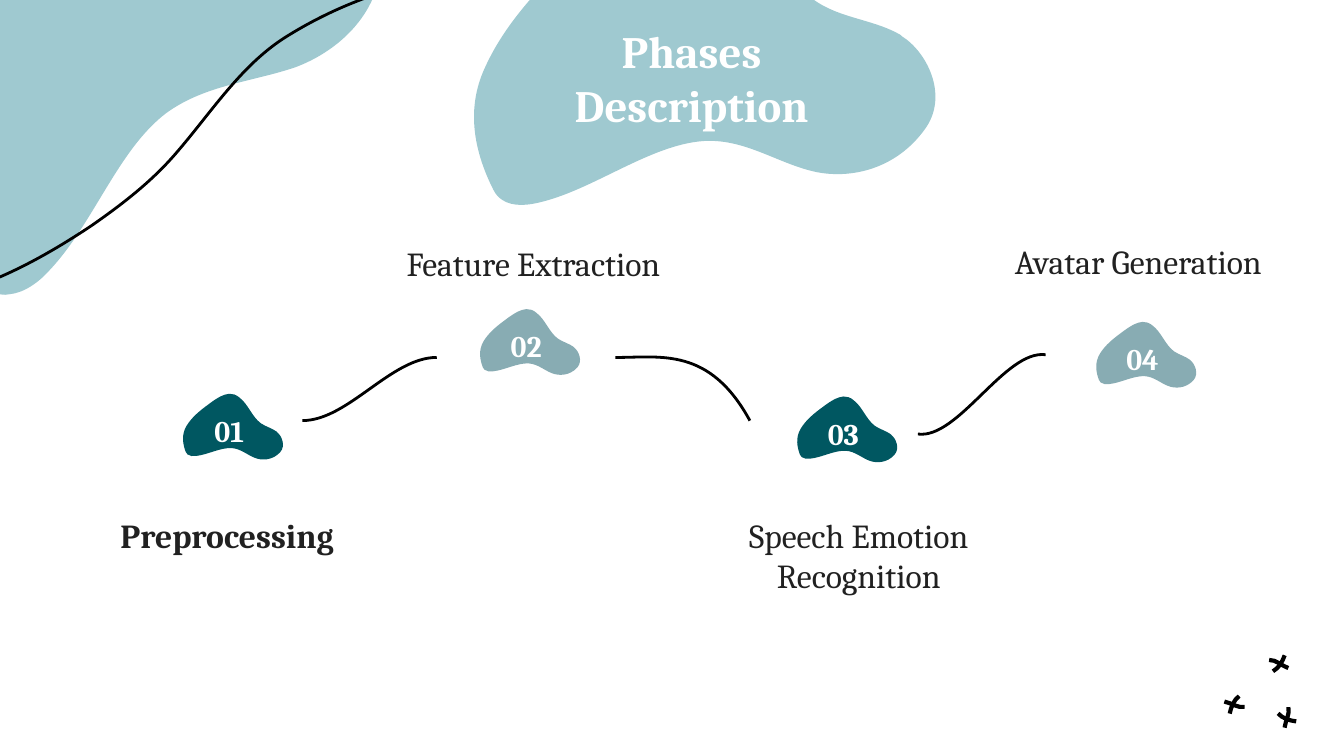
import dataclasses
import math

import pptx
import pptx.dml.color
import pptx.enum.text
import pptx.oxml
import pptx.oxml.ns
import pptx.util

# Every length is counted in cells of a 1000 x 562.5 grid, 100 cells to the inch.
COLS, ROWS = 1000, 562.5
CELL = 9144


@dataclasses.dataclass(frozen=True)
class Theme:
    font: str = "Cambria"
    sky: str = "9FC9D0"
    teal: str = "005761"
    mist: str = "88ACB3"
    ink: str = "212121"
    stroke: str = "000000"
    white: str = "FFFFFF"
    heading: int = 24
    label: int = 18
    number: int = 16
    thin: float = 1.5
    thick: float = 2.25


THEME = Theme()

# Outlines: a start point, then two control points and an end point per curve.
CORNER_BLOB = [
    (3, -75), (-5, -74), (-13, -72), (-21, -69), (-27, -66), (-34, -63), (-39, -58),
    (-47, -50), (-53, -39), (-58, -28), (-65, -11), (-69, 8), (-73, 27),
    (-80, 65), (-87, 105), (-78, 144), (-70, 183), (-36, 205), (-6, 217),
    (-2, 219), (3, 220), (7, 219), (18, 218), (29, 210), (37, 201),
    (70, 166), (88, 111), (124, 84), (153, 63), (188, 61), (220, 50),
    (252, 38), (285, 9), (284, -35), (283, -67), (243, -83), (218, -81),
    (217, -80), (216, -80), (215, -80), (191, -77), (168, -65), (144, -62),
    (143, -62), (142, -62), (141, -62), (96, -56), (48, -80), (3, -75),
]
CORNER_CURVE = [
    (-115, 249), (-95, 231), (-66, 227), (-40, 220), (-1, 210), (35, 190), (68, 168),
    (91, 152), (113, 135), (131, 114), (157, 84), (179, 49), (212, 28),
    (261, -3), (322, -22), (380, -19),
]
TITLE_BLOB = [
    (531, -74), (526, -78), (520, -80), (513, -82), (507, -83), (501, -83), (495, -82),
    (486, -80), (476, -75), (467, -69), (453, -59), (440, -47), (428, -35),
    (402, -10), (376, 17), (361, 50), (345, 84), (355, 117), (367, 141),
    (369, 145), (371, 147), (374, 149), (382, 154), (393, 153), (404, 150),
    (443, 140), (484, 108), (523, 105), (553, 103), (576, 120), (603, 127),
    (629, 134), (666, 128), (689, 95), (706, 70), (689, 38), (671, 27),
    (671, 27), (670, 27), (670, 26), (653, 16), (631, 14), (614, 5),
    (613, 5), (613, 4), (612, 4), (580, -14), (563, -56), (531, -74),
]
TITLE_MIDDLE, TITLE_TURN = (522, 77), 30
BADGE_SCALE, BADGE_TURN = (0.22, 0.21), 37
# Relative to the middle of the cross
CROSS = [
    [(-3.5, 6.7), (-2.5, 1.7), (-0.5, -3.3), (3.5, -6.3)],
    [(-7.5, -2.3), (-2.5, -1.3), (2.5, 2.7), (7.5, 1.7)],
]
CROSSES = [(918.5, 524.3, 0), (951.5, 493.8, 188), (957.5, 533.8, 265.5)]
LINKS = [
    [(225, 313), (259, 313), (291, 266), (325, 266)],
    [(458, 266), (492, 266), (528, 258), (558, 313)],
    [(683, 323), (713, 327), (748, 260), (778, 264)],
]
# Number, badge place, colour; label, label place, bold
PHASES = [
    ("01", 141, 297, THEME.teal, "Preprocessing", 47, 373, True),
    ("02", 362, 234, THEME.mist, "Feature Extraction", 275, 171, False),
    ("03", 598, 299, THEME.teal, "Speech Emotion Recognition", 517, 373, False),
    ("04", 820.5, 243.5, THEME.mist, "Avatar Generation", 725, 169, False),
]


def rgb(color):
    return pptx.dml.color.RGBColor.from_string(color)


def place(points, dx, dy, degrees=0):
    """Turn points clockwise about the origin, then move them."""
    c, n = math.cos(math.radians(degrees)), math.sin(math.radians(degrees))
    return [(dx + x * c - y * n, dy + x * n + y * c) for x, y in points]


def badge_outline(x, y):
    """Shrink the title blob along its own axes and centre it on (x, y)."""
    mx, my = TITLE_MIDDLE
    sx, sy = BADGE_SCALE
    upright = place([(px - mx, py - my) for px, py in TITLE_BLOB], 0, 0, -TITLE_TURN)
    return place([(px * sx, py * sy) for px, py in upright], x, y, BADGE_TURN)


def add_curve(s, points, close):
    """Build a freeform through all points, then join each three into a Bézier."""
    fine = [(100 * x, 100 * y) for x, y in points]
    builder = s.shapes.build_freeform(*fine[0], scale=CELL / 100)
    builder.add_line_segments(fine[1:], close=close)
    sp = builder.convert_to_shape()
    sp.shadow.inherit = False
    qn = pptx.oxml.ns.qn
    path = sp._element.find(".//" + qn("a:path"))
    steps = path.findall(qn("a:lnTo"))
    for i in range(0, len(steps), 3):
        bezier = path.makeelement(qn("a:cubicBezTo"))
        steps[i].addprevious(bezier)
        for step in steps[i:i + 3]:
            bezier.append(step[0])
            path.remove(step)
    return sp


def add_blob(s, points, color):
    sp = add_curve(s, points, True)
    sp.fill.solid()
    sp.fill.fore_color.rgb = rgb(color)
    sp.line.fill.background()


def add_stroke(s, points, width):
    sp = add_curve(s, points, False)
    sp.fill.background()
    sp.line.color.rgb = rgb(THEME.stroke)
    sp.line.width = pptx.util.Pt(width)


def add_text(s, text, box, size, color, bold=True, middle=False):
    sp = s.shapes.add_textbox(*(int(v * CELL) for v in box))
    tf = sp.text_frame
    tf.word_wrap = True
    tf.margin_left = tf.margin_right = tf.margin_top = tf.margin_bottom = 10 * CELL
    anchor = pptx.enum.text.MSO_ANCHOR
    tf.vertical_anchor = anchor.MIDDLE if middle else anchor.TOP
    tf.text = text
    p = tf.paragraphs[0]
    p.alignment = pptx.enum.text.PP_ALIGN.CENTER
    r = p.runs[0]
    r.font.name = THEME.font
    r.font.size = pptx.util.Pt(size)
    r.font.bold = bold
    r.font.color.rgb = rgb(color)


def add_phase(s, number, x, y, color, label, label_x, label_y, bold):
    add_blob(s, badge_outline(x + 32, y + 30.5), color)
    add_text(s, number, (x, y, 59, 40), THEME.number, THEME.white)
    add_text(s, label, (label_x, label_y, 244, 46), THEME.label, THEME.ink, bold)


def main():
    prs = pptx.Presentation()
    prs.slide_width, prs.slide_height = COLS * CELL, int(ROWS * CELL)
    s = prs.slides.add_slide(prs.slide_layouts[6])
    add_blob(s, CORNER_BLOB, THEME.sky)
    add_stroke(s, CORNER_CURVE, THEME.thin)
    for phase in PHASES:
        add_phase(s, *phase)
    for link in LINKS:
        add_stroke(s, link, THEME.thin)
    for cross in CROSSES:
        for bar in CROSS:
            add_stroke(s, place(bar, *cross), THEME.thick)
    add_blob(s, TITLE_BLOB, THEME.sky)
    add_text(s, "Phases Description", (379, -16, 271, 147), THEME.heading,
             THEME.white, middle=True)
    prs.save("out.pptx")


if __name__ == "__main__":
    main()
